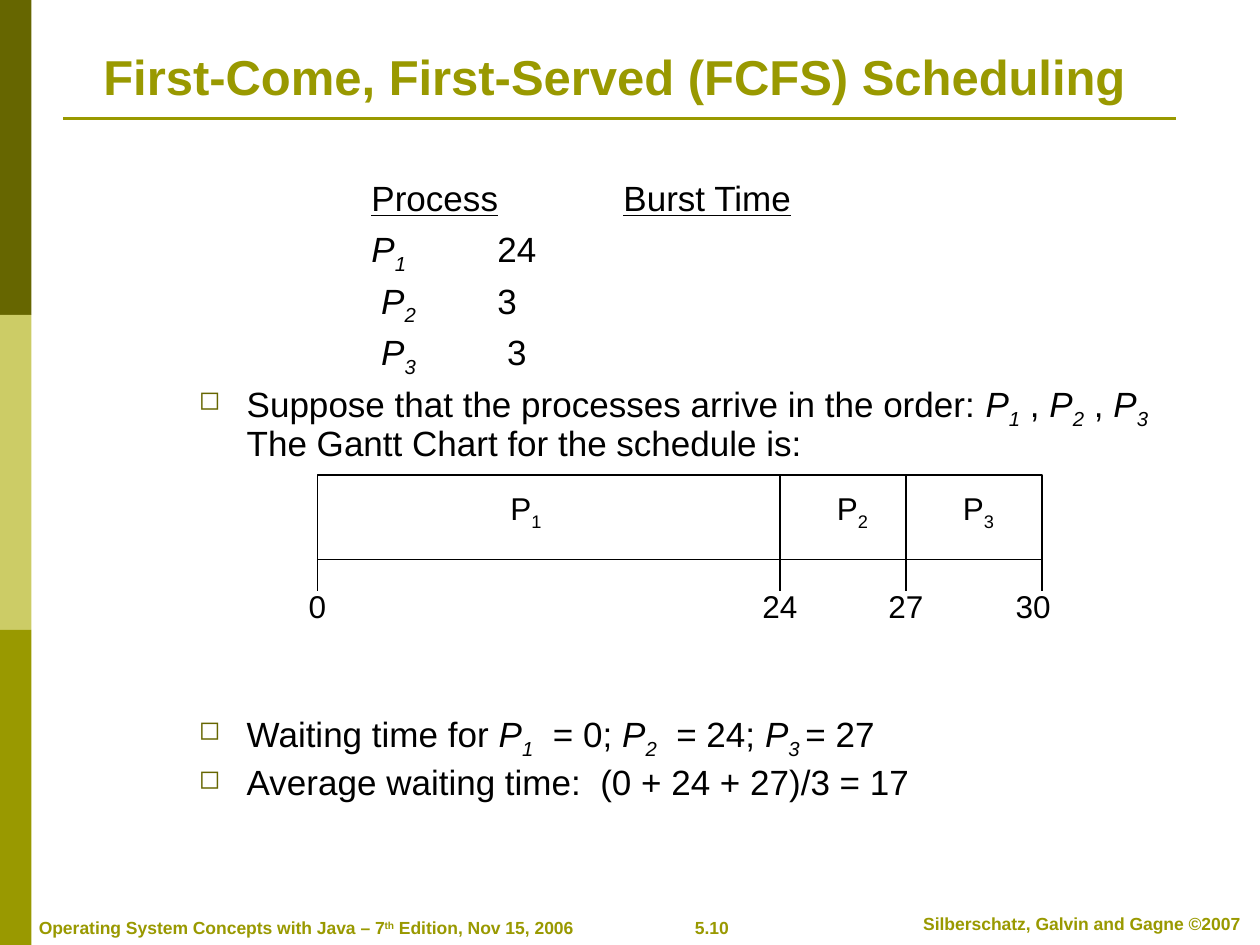
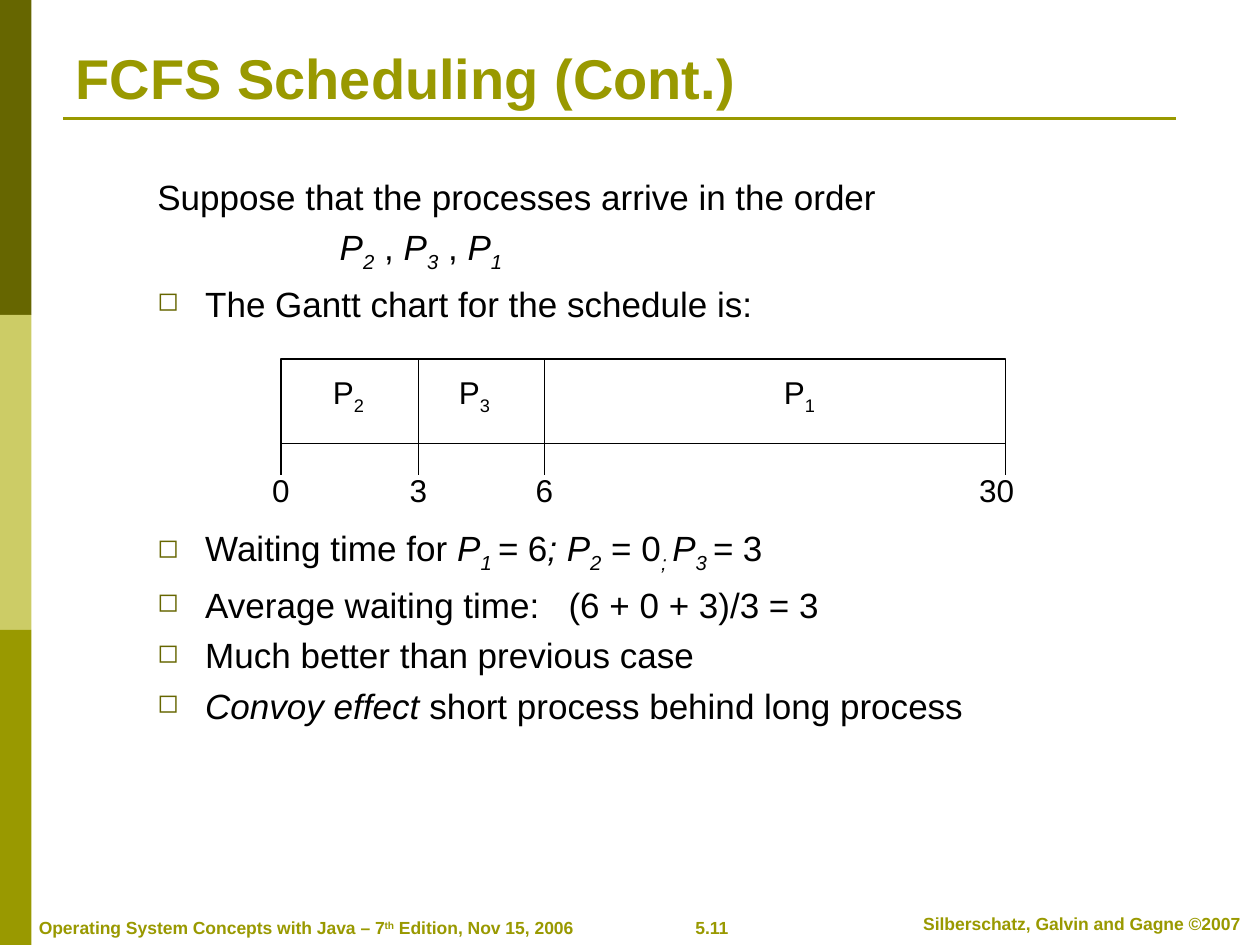
from lxml.etree import SubElement
from pptx import Presentation
from pptx.dml.color import RGBColor
from pptx.enum.shapes import MSO_CONNECTOR, MSO_SHAPE
from pptx.enum.text import MSO_ANCHOR, MSO_AUTO_SIZE, PP_ALIGN
from pptx.oxml.ns import qn
from pptx.util import Inches, Pt

COLUMNS, ROWS = 10, 7.5  # the slide as a grid of one-inch cells
FONT = "Arial"
BLACK, WHITE = "000000", "FFFFFF"
DARK_OLIVE, PALE_OLIVE, OLIVE = "666600", "CCCC66", "999900"
HANGING = 0.38
TABLE_TABS = {"header": (1.37, 3.37), "row": (1.37, 2.37)}
BAR_WIDTH, BAR_HEIGHT, TICK = 5.75, 0.67, 0.25
END_LABEL_SHIFT = 0.07


def cells(*counts):
    """Turn grid columns or rows into lengths."""
    return [Inches(count) for count in counts]


def color(hex_string):
    return RGBColor.from_string(hex_string)


def set_font(font, size, hex_string, bold=False):
    font.name, font.size, font.bold = FONT, Pt(size), bold
    font.color.rgb = color(hex_string)


def add_rectangle(shapes, place, fill, line=None):
    box = shapes.add_shape(MSO_SHAPE.RECTANGLE, *cells(*place))
    box.shadow.inherit = False
    box.fill.solid()
    box.fill.fore_color.rgb = color(fill)
    if line:
        box.line.color.rgb = color(line)
        box.line.width = Pt(0.75)
    else:
        box.line.fill.background()


def add_line(shapes, ends, hex_string=BLACK, width=0.75):
    line = shapes.add_connector(MSO_CONNECTOR.STRAIGHT, *cells(*ends))
    line.line.color.rgb = color(hex_string)
    line.line.width = Pt(width)
    SubElement(line._element.spPr, qn("a:effectLst"))


def add_spans(para, spans):
    """Add plain strings and (text, style) pairs: i italic, s subscript, t superscript, u underline."""
    for item in spans:
        text, style = (item, "") if isinstance(item, str) else item
        if text == "\n":
            para.add_line_break()
            continue
        span = para.add_run()
        span.text = text
        if "i" in style:
            span.font.italic = True
        if "u" in style:
            span.font.underline = True
        if "s" in style:
            span.font._element.set("baseline", "-25000")
        if "t" in style:
            span.font._element.set("baseline", "30000")


def add_label(shapes, place, spans, size, hex_string=BLACK, bold=False,
              align=PP_ALIGN.CENTER, anchor=MSO_ANCHOR.MIDDLE, wrap=False):
    box = shapes.add_textbox(*cells(*place))
    box.text_frame.word_wrap = wrap
    box.text_frame.vertical_anchor = anchor
    para = box.text_frame.paragraphs[0]
    para.alignment = align
    add_spans(para, spans)
    set_font(para.font, size, hex_string, bold)


def set_bullet(para):
    properties = para._p.get_or_add_pPr()
    properties.set("marL", str(Inches(HANGING)))
    properties.set("indent", str(-Inches(HANGING)))
    bullet_color = SubElement(properties, qn("a:buClr"))
    SubElement(bullet_color, qn("a:srgbClr"), val=DARK_OLIVE)
    SubElement(properties, qn("a:buSzPct"), val="75000")
    SubElement(properties, qn("a:buChar"), char="◻")


def set_tabs(para, stops):
    tabs = SubElement(para._p.get_or_add_pPr(), qn("a:tabLst"))
    for stop in stops:
        SubElement(tabs, qn("a:tab"), pos=str(Inches(stop)), algn="l")


def add_body(page, place, paragraphs, line_spacing):
    """Add (kind, spans) paragraphs; kind is bullet, plain or a key of TABLE_TABS."""
    box = page.shapes.add_textbox(*cells(*place))
    frame = box.text_frame
    frame.word_wrap = True
    for index, (kind, spans) in enumerate(paragraphs):
        para = frame.add_paragraph() if index else frame.paragraphs[0]
        if kind == "bullet":
            set_bullet(para)
        elif kind in TABLE_TABS:
            set_tabs(para, TABLE_TABS[kind])
        para.line_spacing = line_spacing
        if index:
            para.space_before = Pt(5)
        add_spans(para, spans)
        set_font(para.font, 20, BLACK)


def process(number, tail=""):
    return [("P", "i"), (f"{number}{tail}", "is")]


def add_gantt(page, left, top, bars, ticks):
    """Draw bars (process, label centre) and ticks (time, edge), measured from the left side."""
    shapes = page.shapes.add_group_shape().shapes
    bottom = top + BAR_HEIGHT
    add_rectangle(shapes, (left, top, BAR_WIDTH, BAR_HEIGHT), WHITE, BLACK)
    for number, centre in bars:
        place = (left + centre - 0.22, top + 0.06, 0.45, 0.44)
        add_label(shapes, place, ["P", (str(number), "s")], 18)
    for time, edge in ticks:
        x = left + edge
        add_line(shapes, (x, bottom, x, bottom + TICK))
        if 0 < edge < BAR_WIDTH:
            add_line(shapes, (x, top, x, bottom))
        shift = END_LABEL_SHIFT if edge == BAR_WIDTH else 0
        add_label(shapes, (x - 0.24 - shift, bottom + 0.17, 0.48, 0.4), [str(time)], 18)


def add_page(deck, number, title, title_place, title_size):
    page = deck.slides.add_slide(deck.slide_layouts[5])
    band = ROWS / 3
    for row, fill in enumerate((DARK_OLIVE, PALE_OLIVE, OLIVE)):
        add_rectangle(page.shapes, (0, row * band, 0.25, band), fill)
    add_line(page.shapes, (0.5, 0.94, 9.33, 0.94), OLIVE, 1.5)

    edition = ["Operating System Concepts with Java – 7", ("th", "t"), " Edition, Nov 15, 2006"]
    footers = [
        ((0.21, 7.23, 4.44, 0.27), edition, PP_ALIGN.LEFT),
        ((5.16, 7.23, 0.98, 0.27), [number], PP_ALIGN.CENTER),
        ((7.1, 7.2, 2.97, 0.27), ["Silberschatz, Galvin and Gagne ©2007"], PP_ALIGN.CENTER),
    ]
    for place, spans, align in footers:
        add_label(page.shapes, place, spans, 10, OLIVE, True, align, MSO_ANCHOR.TOP, True)

    heading = page.shapes.title
    heading.left, heading.top, heading.width, heading.height = cells(*title_place)
    frame = heading.text_frame
    frame.text = title
    frame.auto_size = MSO_AUTO_SIZE.NONE
    frame.vertical_anchor = MSO_ANCHOR.BOTTOM
    frame.paragraphs[0].alignment = PP_ALIGN.LEFT
    set_font(frame.paragraphs[0].font, title_size, OLIVE, True)
    return page


def add_arrival_order_page(deck):
    page = add_page(deck, "5.10", "First-Come, First-Served (FCFS) Scheduling",
                    (0.72, 0.39, 9.12, 0.5), 28)
    add_body(page, (1.48, 1.39, 8.27, 2.35), [
        ("header", ["\t", ("Process", "u"), "\t", ("Burst Time", "u")]),
        ("row", ["\t", *process(1), "\t24"]),
        ("row", ["\t ", *process(2), "\t3"]),
        ("row", ["\t ", *process(3), "\t 3"]),
        ("bullet", ["Suppose that the processes arrive in the order: ", *process(1), " , ",
                    *process(2), " , ", *process(3), "\n",
                    "The Gantt Chart for the schedule is:"]),
    ], 0.9)
    add_gantt(page, 2.52, 3.77, [(1, 1.65), (2, 4.24), (3, 5.24)],
              [(0, 0), (24, 3.67), (27, 4.67), (30, BAR_WIDTH)])
    add_body(page, (1.48, 5.61, 8.27, 0.85), [
        ("bullet", ["Waiting time for ", *process(1), "  = 0; ", *process(2), "  = 24; ",
                    *process(3, " "), "= 27"]),
        ("bullet", ["Average waiting time:  (0 + 24 + 27)/3 = 17"]),
    ], 0.9)


def add_short_first_page(deck):
    page = add_page(deck, "5.11", "FCFS Scheduling (Cont.)", (0.5, 0.3, 9, 0.63), 32)
    add_body(page, (1.15, 1.34, 7.78, 1.4), [
        ("plain", ["Suppose that the processes arrive in the order"]),
        ("row", ["\t ", *process(2), " , ", *process(3), " , ", *process(1)]),
        ("bullet", ["The Gantt chart for the schedule is:"]),
    ], 1.0)
    add_gantt(page, 2.23, 2.85, [(2, 0.53), (3, 1.53), (1, 4.11)],
              [(0, 0), (3, 1.09), (6, 2.09), (30, BAR_WIDTH)])
    add_body(page, (1.15, 4.13, 7.78, 1.8), [
        ("bullet", ["Waiting time for ", *process(1, " "), ("=", "i"), " 6", ("; ", "i"),
                    *process(2), " = 0", ("; ", "is"), *process(3, " "), ("= ", "i"), "3"]),
        ("bullet", ["Average waiting time:   (6 + 0 + 3)/3 = 3"]),
        ("bullet", ["Much better than previous case"]),
        ("bullet", [("Convoy effect", "i"), " short process behind long process"]),
    ], 1.0)


def main():
    deck = Presentation()
    deck.slide_width, deck.slide_height = cells(COLUMNS, ROWS)
    add_arrival_order_page(deck)
    add_short_first_page(deck)
    deck.save("out.pptx")


if __name__ == "__main__":
    main()
